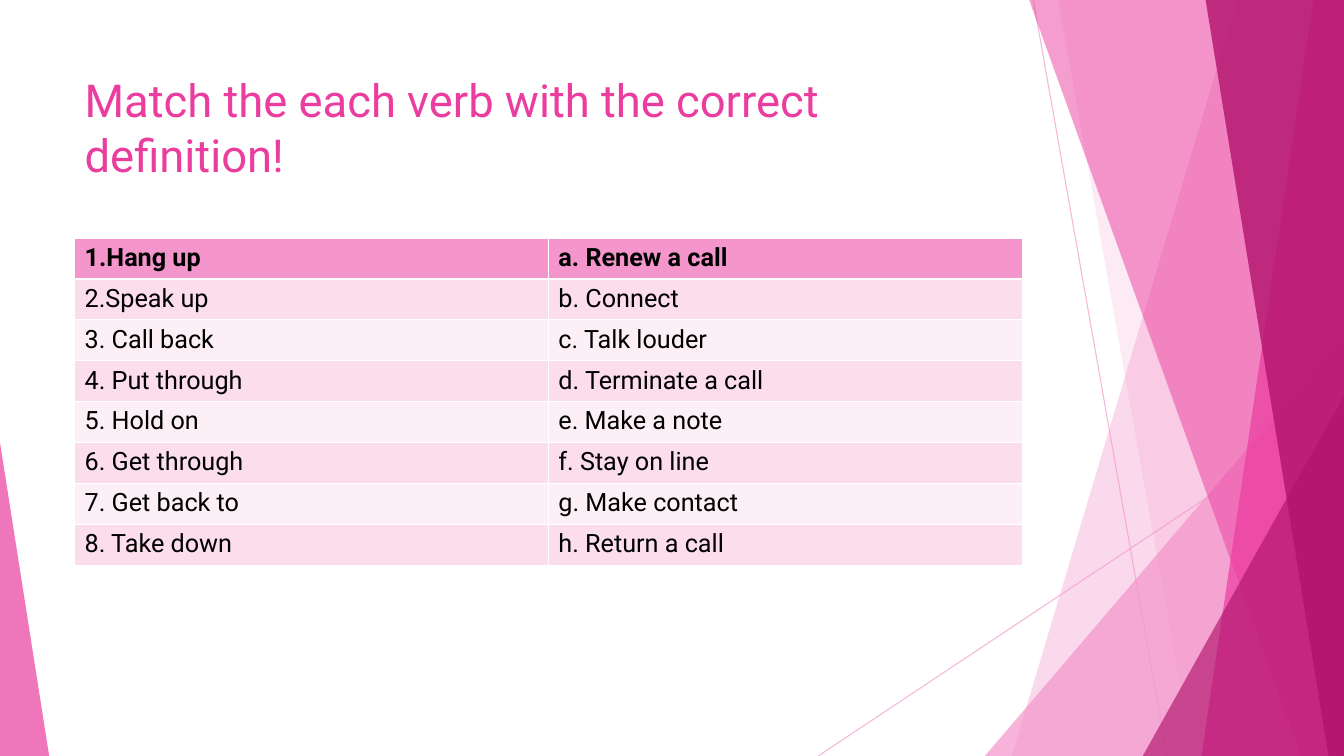
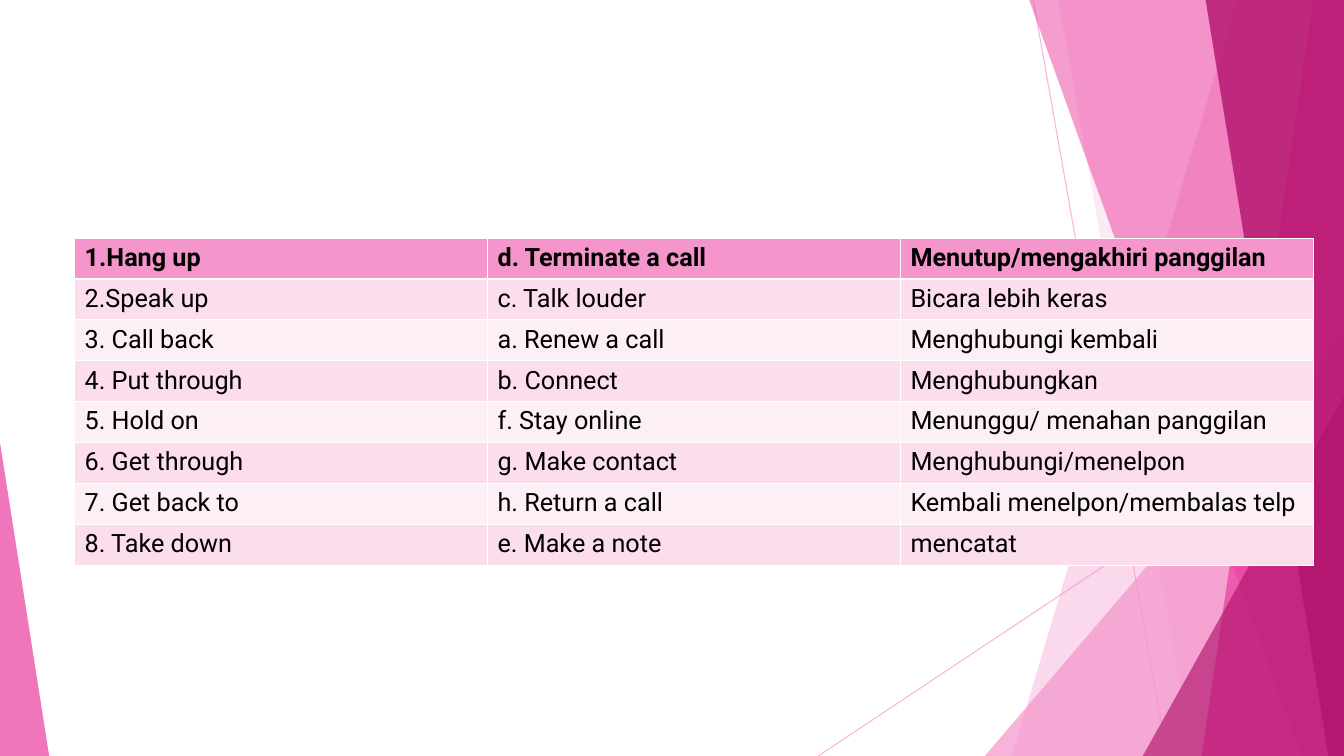
import pptx
import pptx.dml.color
import pptx.enum.shapes
import pptx.enum.text
import pptx.oxml
import pptx.oxml.ns
import pptx.util
from pptx.util import Cm

VERBS = ["1.Hang up", "2.Speak up", "3. Call back", "4. Put through",
         "5. Hold on", "6. Get through", "7. Get back to", "8. Take down"]
DEFINITIONS = ["a. Renew a call", "b. Connect", "c. Talk louder", "d. Terminate a call",
               "e. Make a note", "f. Stay on line", "g. Make contact", "h. Return a call"]
ANSWERS = ["d. Terminate a call", "c. Talk louder", "a. Renew a call", "b. Connect",
           "f. Stay online", "g. Make contact", "h. Return a call", "e. Make a note"]
TRANSLATIONS = ["Menutup/mengakhiri panggilan", "Bicara lebih keras", "Menghubungi kembali",
                "Menghubungkan", "Menunggu/ menahan panggilan", "Menghubungi/menelpon",
                "Kembali menelpon/membalas telp", "mencatat"]


def paint(fill, color, opacity=100):
    fill.solid()
    fill.fore_color.rgb = pptx.dml.color.RGBColor.from_string(color)
    if opacity < 100:
        qn = pptx.oxml.ns.qn
        tone = fill._xPr.find(f"{qn('a:solidFill')}/{qn('a:srgbClr')}")
        tone.append(pptx.oxml.parse_xml(
            f'<a:alpha {pptx.oxml.ns.nsdecls("a")} val="{opacity * 1000}"/>'))


class FacetDeck:
    """A deck in the pink facet style, with the page being drawn."""

    WIDTH, HEIGHT = 33.87, 19.05
    LEFT = 1.88
    FONT = "Roboto"
    LIGHT, PINK, DEEP, INK = "F496CB", "EB3D9F", "B2136D", "000000"
    BANDS = ["FDEFF6", "FBDDEC"]

    def __init__(self):
        self.deck = pptx.Presentation()
        self.deck.slide_width = Cm(self.WIDTH)
        self.deck.slide_height = Cm(self.HEIGHT)
        self.page = None

    def add_page(self, title=None):
        layout = self.deck.slide_layouts[5 if title else 6]
        self.page = self.deck.slides.add_slide(layout)
        self.backdrop()
        if title:
            self.title(title)

    def backdrop(self):
        self.ray(26.04, 0, 29.41, self.HEIGHT)
        self.ray(self.WIDTH, 10.24, 20.62, self.HEIGHT)
        self.facet(31.19, 25.5, self.LIGHT, 36)
        self.facet(26.67, 30.05, self.LIGHT, 20)
        self.corner(24.82, 8.46, 9.05, 1, self.LIGHT, 72)
        self.facet(25.93, 32.79, self.PINK, 50)
        self.facet(33.1, 30.28, self.PINK, 70)
        self.facet(30.38, 33.48, self.DEEP, 80)
        self.corner(28.8, 9.98, 5.07, 1, self.DEEP, 66)
        self.corner(0, 11.15, 1.24, 0, self.PINK, 70)

    def ray(self, x1, y1, x2, y2):
        line = self.page.shapes.add_connector(
            pptx.enum.shapes.MSO_CONNECTOR.STRAIGHT, Cm(x1), Cm(y1), Cm(x2), Cm(y2))
        line.line.width = pptx.util.Pt(0.75)
        paint(line.line.fill, self.LIGHT, 70)
        line._element.spPr.append(
            pptx.oxml.parse_xml(f'<a:effectLst {pptx.oxml.ns.nsdecls("a")}/>'))

    def facet(self, top_x, bottom_x, color, opacity):
        outline = self.page.shapes.build_freeform(Cm(top_x), Cm(-0.02))
        outline.add_line_segments([
            (Cm(self.WIDTH), Cm(-0.02)), (Cm(self.WIDTH), Cm(self.HEIGHT)),
            (Cm(bottom_x), Cm(self.HEIGHT))])
        self.finish(outline.convert_to_shape(), color, opacity)

    def corner(self, left, top, width, apex, color, opacity):
        triangle = self.page.shapes.add_shape(
            pptx.enum.shapes.MSO_SHAPE.ISOSCELES_TRIANGLE,
            Cm(left), Cm(top), Cm(width), Cm(self.HEIGHT - top))
        triangle.adjustments[0] = apex
        self.finish(triangle, color, opacity)

    def finish(self, shape, color, opacity):
        shape.shadow.inherit = False
        shape.line.fill.background()
        paint(shape.fill, color, opacity)

    def add_text(self, para, text, size, color, bold=False):
        span = para.add_run()
        span.text = text
        span.font.name = self.FONT
        span.font.size = pptx.util.Pt(size)
        span.font.bold = bold
        paint(span.font.fill, color)

    def title(self, text):
        box = self.page.shapes.title
        box.left, box.top, box.width, box.height = (
            Cm(self.LEFT), Cm(1.7), Cm(23.88), Cm(3.66))
        frame = box.text_frame
        frame.word_wrap = True
        frame.auto_size = pptx.enum.text.MSO_AUTO_SIZE.NONE
        frame.vertical_anchor = pptx.enum.text.MSO_ANCHOR.TOP
        para = frame.paragraphs[0]
        para.alignment = pptx.enum.text.PP_ALIGN.LEFT
        self.add_text(para, text, 32.4, self.PINK)

    def table(self, width, *columns):
        rows = list(zip(*columns))
        table = self.page.shapes.add_table(
            len(rows), len(columns), Cm(self.LEFT), Cm(6),
            Cm(width), Cm(1.03 * len(rows))).table
        for row, texts in enumerate(rows):
            for column, text in enumerate(texts):
                cell = table.cell(row, column)
                paint(cell.fill, self.BANDS[row % 2] if row else self.LIGHT)
                para = cell.text_frame.paragraphs[0]
                self.add_text(para, text, 18, self.INK, row == 0)


def main():
    facets = FacetDeck()
    facets.add_page("Match the each verb with the correct definition!")
    facets.table(23.88, VERBS, DEFINITIONS)
    facets.add_page()
    facets.table(31.22, VERBS, ANSWERS, TRANSLATIONS)
    facets.deck.save("out.pptx")


if __name__ == "__main__":
    main()
